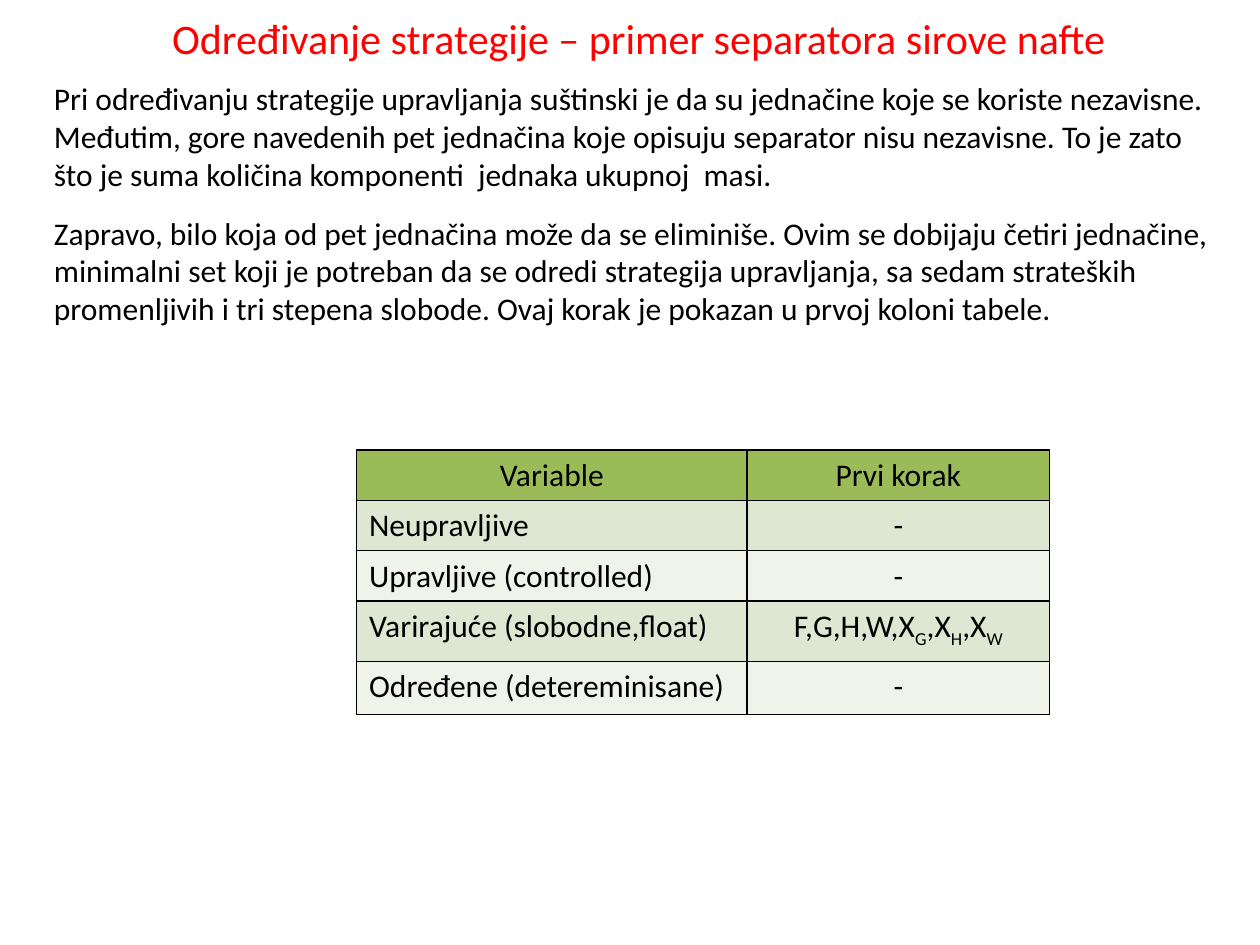
from dataclasses import dataclass

from lxml import etree
from pptx import Presentation
from pptx import util as u
from pptx.dml.color import RGBColor
from pptx.enum import text as t
from pptx.oxml import ns

FONT = "Calibri"
BLACK, RED = "000000", "FF0000"
HEADER_FILL, BAND_FILLS = "9BBB59", ("DEE7D1", "EFF3EA")
LEFT, CENTER = t.PP_ALIGN.LEFT, t.PP_ALIGN.CENTER
COLUMN_WIDTHS = (3.1, 2.4)


@dataclass
class Row:
    """One table row; underscores enclose subscripts in its values."""
    variable: str
    first_step: str
    height: float = 0.4


TITLE = "Određivanje strategije – primer separatora sirove nafte"
BODY = (
    "Pri određivanju strategije upravljanja suštinski je da su jednačine koje se "
    "koriste nezavisne. Međutim, gore navedenih pet jednačina koje opisuju separator "
    "nisu nezavisne. To je zato što je suma količina komponenti  jednaka ukupnoj  masi.",
    "Zapravo, bilo koja od pet jednačina može da se eliminiše. Ovim se dobijaju četiri "
    "jednačine, minimalni set koji je potreban da se odredi strategija upravljanja, sa "
    "sedam strateških promenljivih i tri stepena slobode. Ovaj korak je pokazan u prvoj "
    "koloni tabele.",
)
ROWS = (
    Row("Variable", "Prvi korak"),
    Row("Neupravljive", "-"),
    Row("Upravljive (controlled)", "-"),
    Row("Varirajuće (slobodne,float)", "F,G,H,W,X_G_,X_H_,X_W", 0.48),
    Row("Određene (detereminisane)", "-", 0.42),
)


def color(value: str) -> RGBColor:
    """Turn a hex string into a colour."""
    return RGBColor.from_string(value)


def write(frame, *paragraphs: str, size: float = 18, ink: str = BLACK,
          align=LEFT, gap: float = 0) -> None:
    """Fill a text frame, setting every second underscore part as subscript."""
    for index, content in enumerate(paragraphs):
        para = frame.add_paragraph() if index else frame.paragraphs[0]
        para.alignment = align
        para.space_before = para.space_after = u.Pt(gap)
        for part, words in enumerate(content.split("_")):
            span = para.add_run()
            span.text = words
            span.font.name, span.font.size = FONT, u.Pt(size)
            span.font.color.rgb = color(ink)
            if part % 2:
                span.font._element.set("baseline", "-25000")


def add_text(page, left: float, top: float, width: float, height: float,
             *paragraphs: str, anchor=t.MSO_ANCHOR.TOP, **style) -> None:
    """Add a wrapping text box."""
    box = page.shapes.add_textbox(*map(u.Inches, (left, top, width, height)))
    box.text_frame.word_wrap = True
    box.text_frame.vertical_anchor = anchor
    write(box.text_frame, *paragraphs, **style)


def add_borders(cell, ink: str = BLACK, width: float = 1) -> None:
    """Draw a solid line on all four sides of a cell."""
    properties = cell._tc.get_or_add_tcPr()
    for index, side in enumerate(("lnL", "lnR", "lnT", "lnB")):
        line = etree.Element(ns.qn(f"a:{side}"), w=str(u.Pt(width)))
        fill = etree.SubElement(line, ns.qn("a:solidFill"))
        etree.SubElement(fill, ns.qn("a:srgbClr"), val=ink)
        properties.insert(index, line)


def add_variable_table(page, left: float, top: float) -> None:
    """Add the banded table of variables."""
    size = (sum(COLUMN_WIDTHS), sum(row.height for row in ROWS))
    table = page.shapes.add_table(len(ROWS), len(COLUMN_WIDTHS),
                                  *map(u.Inches, (left, top, *size))).table
    for column, width in zip(table.columns, COLUMN_WIDTHS):
        column.width = u.Inches(width)
    for r, row in enumerate(ROWS):
        table.rows[r].height = u.Inches(row.height)
        for c, content in enumerate((row.variable, row.first_step)):
            cell = table.cell(r, c)
            cell.fill.solid()
            cell.fill.fore_color.rgb = color(BAND_FILLS[(r - 1) % 2] if r else HEADER_FILL)
            add_borders(cell)
            write(cell.text_frame, content, align=LEFT if r and c == 0 else CENTER)
            for span in cell.text_frame.paragraphs[0].runs:
                span.font.bold = False


def main() -> None:
    """Build and save the slide."""
    deck = Presentation()
    deck.slide_width, deck.slide_height = u.Inches(10), u.Inches(7.5)
    page = deck.slides.add_slide(deck.slide_layouts[6])
    add_text(page, 0.42, 0, 9.3, 0.59, TITLE, anchor=t.MSO_ANCHOR.MIDDLE,
             size=24, ink=RED, align=CENTER)
    add_variable_table(page, 2.83, 3.57)
    add_text(page, 0.33, 0.58, 9.44, 2.56, *BODY, gap=6)
    deck.save("out.pptx")


main()
